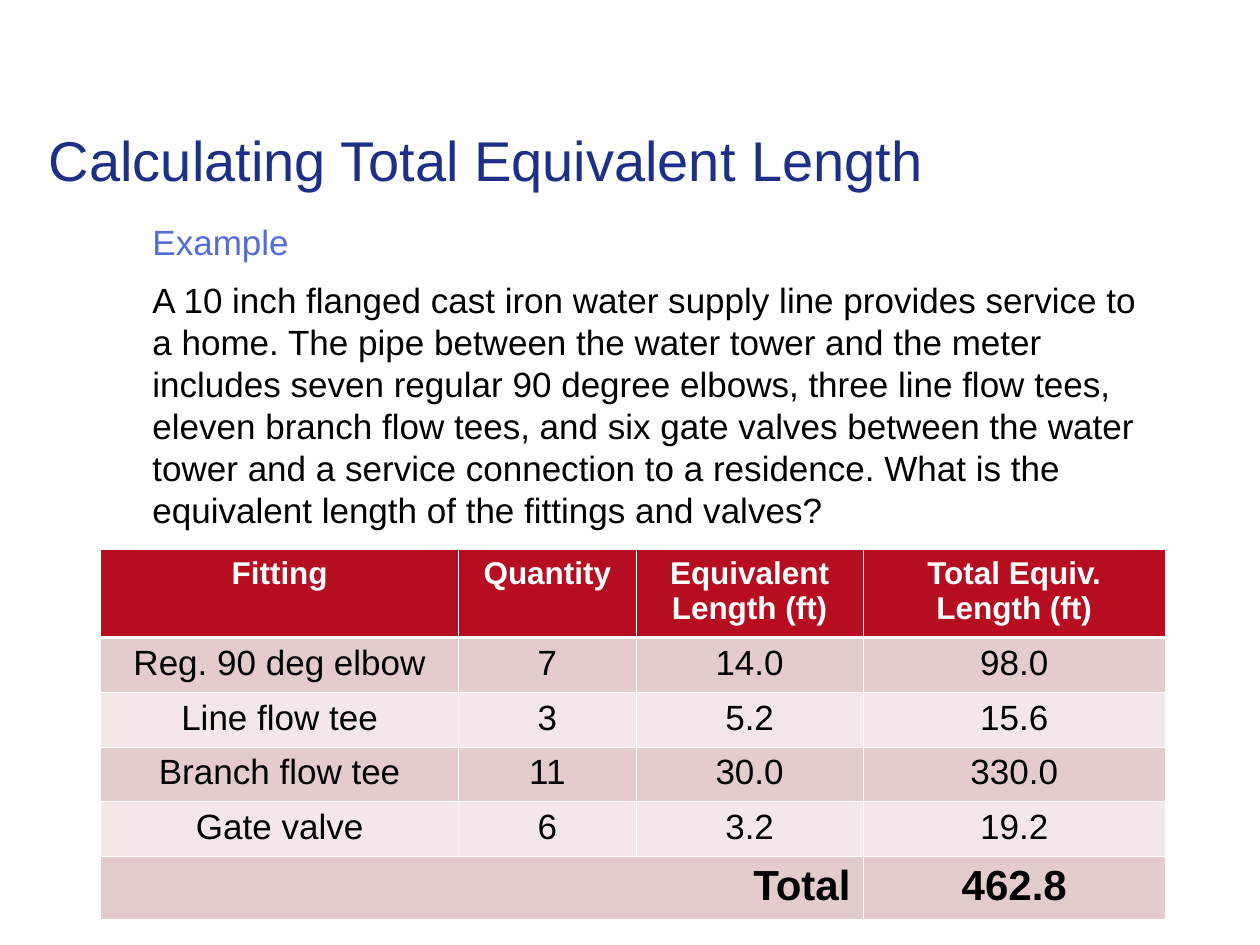
from lxml.etree import SubElement
from pptx import Presentation
from pptx.dml.color import RGBColor
from pptx.enum.text import MSO_ANCHOR, PP_ALIGN
from pptx.oxml.ns import qn
from pptx.util import Inches, Pt

NAVY, BLUE, BLACK, WHITE = "1D2F86", "546BDA", "000000", "FFFFFF"
RED, ROSE, PALE_ROSE = "B60E20", "E5CCCC", "F3E7E7"

QUESTION = (
    "A 10 inch flanged cast iron water supply line provides service to a home. "
    "The pipe between the water tower and the meter includes seven regular 90 degree "
    "elbows, three line flow tees, eleven branch flow tees, and six gate valves between "
    "the water tower and a service connection to a residence. What is the equivalent "
    "length of the fittings and valves?"
)
COLUMN_WIDTHS = [2.84, 1.41, 1.8, 2.4]
ROW_HEIGHTS = [0.7] + [0.43] * 4 + [0.5]
ROWS = [
    ["Fitting", "Quantity", "Equivalent Length (ft)", "Total Equiv. Length (ft)"],
    ["Reg. 90 deg elbow", "7", "14.0", "98.0"],
    ["Line flow tee", "3", "5.2", "15.6"],
    ["Branch flow tee", "11", "30.0", "330.0"],
    ["Gate valve", "6", "3.2", "19.2"],
    ["Total", "", "", "462.8"],
]
HEADER_FORMAT = {"size": Pt(18), "bold": True, "color": WHITE}
BODY_FORMAT = {"size": Pt(20), "bold": False, "color": BLACK}
TOTAL_FORMAT = {"size": Pt(24), "bold": True, "color": BLACK}


def color(value):
    return RGBColor.from_string(value)


def write(paragraph, text, text_format, **paragraph_format):
    """Put one run of formatted text into a paragraph."""
    run = paragraph.add_run()
    run.text = text
    for name, value in {"name": "Arial", **text_format}.items():
        if name == "color":
            run.font.color.rgb = color(value)
        else:
            setattr(run.font, name, value)
    for name, value in paragraph_format.items():
        setattr(paragraph, name, value)


def add_text_frame(slide, left, top, width, height, anchor):
    box = slide.shapes.add_textbox(*map(Inches, (left, top, width, height)))
    box.text_frame.word_wrap = True
    box.text_frame.vertical_anchor = anchor
    return box.text_frame


def set_borders(cell, widths):
    """Draw white cell borders; widths maps a side to points."""
    properties = cell._tc.get_or_add_tcPr()
    for position, (side, width) in enumerate(widths.items()):
        line = SubElement(properties, qn(f"a:ln{side}"), w=str(Pt(width)))
        fill = SubElement(line, qn("a:solidFill"))
        SubElement(fill, qn("a:srgbClr"), val=WHITE)
        properties.insert(position, line)


def add_fittings_table(slide, left, top):
    table = slide.shapes.add_table(
        len(ROWS), len(COLUMN_WIDTHS), Inches(left), Inches(top),
        Inches(sum(COLUMN_WIDTHS)), Inches(sum(ROW_HEIGHTS)),
    ).table
    for column, width in zip(table.columns, COLUMN_WIDTHS):
        column.width = Inches(width)

    last = len(ROWS) - 1
    formats = {0: HEADER_FORMAT, last: TOTAL_FORMAT}
    for index, (row, height, texts) in enumerate(zip(table.rows, ROW_HEIGHTS, ROWS)):
        row.height = Inches(height)
        fill = RED if index == 0 else ROSE if index % 2 else PALE_ROSE
        borders = {
            "L": 0.45, "R": 0.45,
            "T": 1.47 if index == 1 else 0.45,
            "B": 1.47 if index == 0 else 0.45,
        }
        for cell, text in zip(row.cells, texts):
            cell.fill.solid()
            cell.fill.fore_color.rgb = color(fill)
            set_borders(cell, borders)
            if text:
                write(cell.text_frame.paragraphs[0], text,
                      formats.get(index, BODY_FORMAT), alignment=PP_ALIGN.CENTER)

    # The total label spans the first three columns
    total_label = table.cell(last, 0)
    total_label.merge(table.cell(last, 2))
    total_label.text_frame.paragraphs[0].alignment = PP_ALIGN.RIGHT


def main():
    presentation = Presentation()
    presentation.slide_width, presentation.slide_height = Inches(10), Inches(7.5)
    slide = presentation.slides.add_slide(presentation.slide_layouts[6])

    # Title
    title = add_text_frame(slide, 0.29, 0.93, 9.18, 0.67, MSO_ANCHOR.MIDDLE)
    write(title.paragraphs[0], "Calculating Total Equivalent Length",
          {"size": Pt(32), "color": NAVY})

    # Example question, indented from the box edge
    body = add_text_frame(slide, 0.73, 1.7, 8.5, 2.5, MSO_ANCHOR.TOP)
    body.margin_left = Inches(0.48)
    write(body.paragraphs[0], "Example", {"size": Pt(20), "color": BLUE})
    write(body.add_paragraph(), QUESTION, BODY_FORMAT, space_before=Pt(9))

    # Fittings and their equivalent lengths
    add_fittings_table(slide, 0.8, 4.36)

    presentation.save("out.pptx")


if __name__ == "__main__":
    main()
